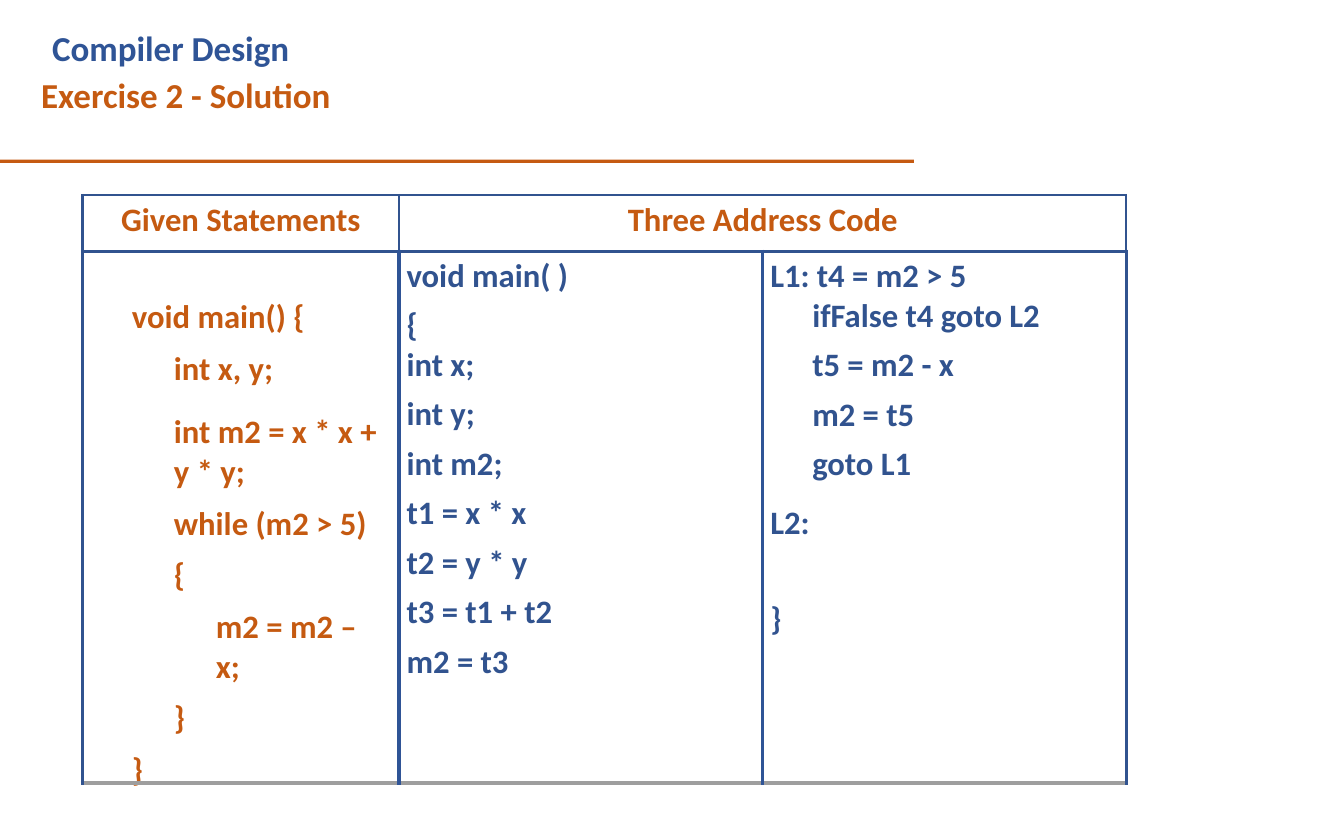
import dataclasses

import pptx
import pptx.dml.color
import pptx.enum.shapes
import pptx.enum.text
import pptx.oxml
import pptx.oxml.ns
import pptx.util

PAGE_WIDTH, PAGE_HEIGHT = pptx.util.Inches(16), pptx.util.Inches(10)
CENTER = pptx.enum.text.PP_ALIGN.CENTER


@dataclasses.dataclass(frozen=True)
class Theme:
    font: str = "Calibri"
    title_size: float = 30
    table_size: float = 28
    orange: str = "C55A11"
    blue: str = "2F5496"
    code_blue: str = "31538F"
    gray: str = "9E9E9E"
    thin: float = 2.25
    thick: float = 3


THEME = Theme()


@dataclasses.dataclass(frozen=True)
class Line:
    """One line of text: indent level, space before in points, line spacing."""
    text: str
    level: int = 0
    before: float = 0
    spacing: float = 1.0


GIVEN = [
    Line("void main() {", 1, 0, 1.3),
    Line("int x, y;", 2, 0, 1.3),
    Line("int m2 = x * x + y * y;", 2, 20),
    Line("while (m2 > 5)", 2, 10),
    Line("{", 2, 10),
    Line("m2 = m2 – x;", 3, 10),
    Line("}", 2, 10),
    Line("}", 1, 10),
]
STRAIGHT_CODE = [Line("void main( )"), Line("{", 0, 8), Line("int x;")] + [
    Line(text, 0, 0, 1.24)
    for text in ("int y;", "int m2;", "t1 = x * x", "t2 = y * y", "t3 = t1 + t2", "m2 = t3")
]
LOOP_CODE = [
    Line("L1: t4 = m2 > 5"),
    Line("ifFalse t4 goto L2", 1),
    *(Line(text, 1, 0, 1.24) for text in ("t5 = m2 - x", "m2 = t5", "goto L1")),
    Line("L2:", 0, 16),
    Line("}", 0, 48),
]


def across(percent):
    return round(PAGE_WIDTH * percent / 100)


def down(percent):
    return round(PAGE_HEIGHT * percent / 100)


def color(code):
    return pptx.dml.color.RGBColor.from_string(code)


def add_span(para, text, size, code):
    span = para.add_run()
    span.text = text
    span.font.name = THEME.font
    span.font.size = pptx.util.Pt(size)
    span.font.bold = True
    span.font.color.rgb = color(code)


def next_para(frame, index):
    return frame.paragraphs[0] if index == 0 else frame.add_paragraph()


def indent(para, inches):
    properties = para._p.get_or_add_pPr()
    properties.set("marL", str(pptx.util.Inches(inches)))
    properties.set("indent", "0")


def add_heading(page):
    box = page.shapes.add_textbox(across(3), down(2.4), across(21.75), down(11.6))
    frame = box.text_frame
    frame.word_wrap = True
    frame.margin_left = frame.margin_right = frame.margin_bottom = 0
    frame.margin_top = pptx.util.Inches(0.01)
    rows = [("Compiler Design", THEME.blue, 0.14), ("Exercise 2 - Solution", THEME.orange, 0.01)]
    for index, (text, code, left) in enumerate(rows):
        para = next_para(frame, index)
        indent(para, left)
        para.line_spacing = 1.13
        add_span(para, text, THEME.title_size, code)


def add_rule(page):
    rule = page.shapes.add_shape(
        pptx.enum.shapes.MSO_SHAPE.RECTANGLE, 0, down(19), across(68), down(0.4))
    rule.shadow.inherit = False
    rule.fill.solid()
    rule.fill.fore_color.rgb = color(THEME.orange)
    rule.line.fill.background()


def style_cell(cell, borders, top, right=0):
    """Set margins in inches and borders as side: (colour, points), with no fill."""
    cell.margin_left = cell.margin_bottom = 0
    cell.margin_top = pptx.util.Inches(top)
    cell.margin_right = pptx.util.Inches(right)
    properties = cell._tc.get_or_add_tcPr()
    for side in "LRTB":
        code, points = borders[side]
        properties.append(pptx.oxml.parse_xml(
            f'<a:ln{side} {pptx.oxml.ns.nsdecls("a")} w="{pptx.util.Pt(points)}">'
            f'<a:solidFill><a:srgbClr val="{code}"/></a:solidFill></a:ln{side}>'))
    cell.fill.background()


def fill_header(cell, text):
    para = cell.text_frame.paragraphs[0]
    para.alignment = CENTER
    add_span(para, text, THEME.table_size, THEME.orange)


def fill_code(cell, lines, code):
    for index, line in enumerate(lines):
        para = next_para(cell.text_frame, index)
        indent(para, 0.09 + 0.5 * line.level)
        para.line_spacing = line.spacing
        if index:
            para.space_before = pptx.util.Pt(line.before)
        add_span(para, line.text, THEME.table_size, code)


def add_code_table(page):
    widths = [across(23.56), across(27.06), across(27.06)]
    heights = [down(6.7), down(59.8)]
    table = page.shapes.add_table(
        2, 3, across(6.13), down(23.2), sum(widths), sum(heights)).table
    table.first_row = table.horz_banding = False
    for column, width in zip(table.columns, widths):
        column.width = width
    for row, height in zip(table.rows, heights):
        row.height = height

    thin, thick = (THEME.code_blue, THEME.thin), (THEME.code_blue, THEME.thick)
    inner, base = (THEME.blue, THEME.thick), (THEME.gray, THEME.thick)
    header_borders = {"L": thin, "R": thin, "T": thin, "B": thick}
    for column in range(3):
        style_cell(table.cell(0, column), header_borders, 0.06)
    table.cell(0, 1).merge(table.cell(0, 2))
    fill_header(table.cell(0, 0), "Given Statements")
    fill_header(table.cell(0, 1), "Three Address Code")

    bodies = [(GIVEN, THEME.orange, 0.41, 0.18),
              (STRAIGHT_CODE, THEME.code_blue, 0.06, 0),
              (LOOP_CODE, THEME.code_blue, 0.06, 0)]
    for column, (lines, code, top, right) in enumerate(bodies):
        cell = table.cell(1, column)
        borders = {"L": inner if column else thick, "R": thick if column == 2 else inner,
                   "T": thick, "B": base}
        style_cell(cell, borders, top, right)
        fill_code(cell, lines, code)


def main():
    deck = pptx.Presentation()
    deck.slide_width, deck.slide_height = PAGE_WIDTH, PAGE_HEIGHT
    page = deck.slides.add_slide(deck.slide_layouts[6])
    add_heading(page)
    add_rule(page)
    add_code_table(page)
    deck.save("out.pptx")


if __name__ == "__main__":
    main()
